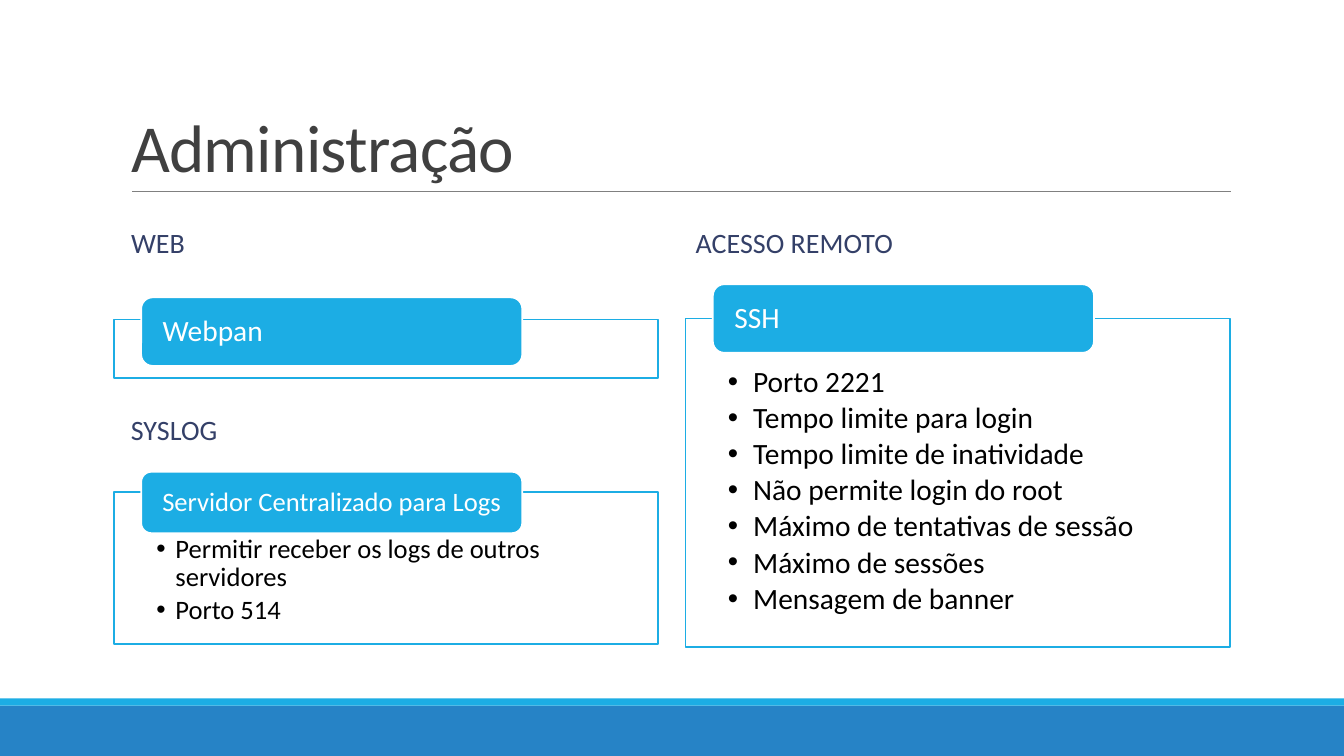
from pptx import Presentation
from pptx.dml.color import RGBColor
from pptx.enum.shapes import MSO_CONNECTOR as Connector, MSO_SHAPE as Shape
from pptx.enum.text import MSO_ANCHOR as Anchor, MSO_AUTO_SIZE as AutoSize, PP_ALIGN as Align
from pptx.oxml.ns import qn
from pptx.util import Inches, Pt
from lxml.etree import SubElement

# Content: placeholder numbers are those of the Comparison layout
TITLE = "Administração"
PANELS = [
    dict(heading="WEB", heading_slot=1, heading_top=2.02, tab="Webpan", items=[],
         list_slot=None, column=0, top=3.17, height=0.58, tab_top=2.95, tab_height=0.68,
         size=21, indent=0.25, inset_top=0),
    dict(heading="ACESSO REMOTO", heading_slot=3, heading_top=2.02, tab="SSH",
         items=["Porto 2221", "Tempo limite para login", "Tempo limite de inatividade",
                "Não permite login do root", "Máximo de tentativas de sessão",
                "Máximo de sessões", "Mensagem de banner"],
         list_slot=4, column=1, top=3.16, height=3.26, tab_top=2.82, tab_height=0.68,
         size=21, indent=0.25, inset_top=0.48),
    dict(heading="SYSLOG", heading_slot=None, heading_top=3.87,
         tab="Servidor Centralizado para Logs",
         items=["Permitir receber os logs de outros servidores", "Porto 514"],
         list_slot=2, column=0, top=4.88, height=1.51, tab_top=4.68, tab_height=0.61,
         size=19, indent=0.19, inset_top=0.43),
]

# Theme and grid
THEME = dict(font="Calibri", title="404040", heading="344068", text="000000", white="FFFFFF",
             accent="1CADE4", footer="2683C6", rule="808080", title_size=48, heading_size=20)
WIDTH, HEIGHT = 13.33, 7.5
COLUMN_WIDTH = 5.4
HEADING_LEFT = (1.2, 6.8)
BOX_LEFT = (1.13, 6.8)
TAB_OFFSET, TAB_WIDTH = 0.27, 3.78


def color(name):
    return RGBColor.from_string(THEME[name])


def place(shape, left, top, width, height):
    shape.left, shape.top, shape.width, shape.height = map(Inches, (left, top, width, height))


def paint(shape, fill, line=None, opacity=None):
    shape.fill.solid()
    shape.fill.fore_color.rgb = color(fill)
    if opacity:
        fill_color = shape.fill._xPr.find(qn("a:solidFill"))[0]
        SubElement(fill_color, qn("a:alpha"), val=str(opacity * 1000))
    if line:
        shape.line.color.rgb = color(line)
        shape.line.width = Pt(1.25)
    else:
        shape.line.fill.background()


def add_block(kind, bounds, fill, line=None, opacity=None):
    shape = slide.shapes.add_shape(kind, *map(Inches, bounds))
    shape.shadow.inherit = False
    paint(shape, fill, line, opacity)
    return shape


def write(shape, lines, size, ink, anchor, insets=(0.1, 0.05, 0.1, 0.05), spacing=0.9, after=0):
    frame = shape.text_frame
    frame.text = "\n".join(lines)
    frame.word_wrap = True
    frame.auto_size = AutoSize.NONE
    frame.vertical_anchor = anchor
    frame.margin_left, frame.margin_top, frame.margin_right, frame.margin_bottom = map(Inches, insets)
    for paragraph in frame.paragraphs:
        paragraph.alignment = Align.LEFT
        paragraph.line_spacing = spacing
        paragraph.space_before, paragraph.space_after = Pt(0), Pt(after)
        for run in paragraph.runs:
            run.font.name, run.font.size, run.font.bold = THEME["font"], Pt(size), False
            run.font.color.rgb = color(ink)


def add_bullets(shape, indent):
    for paragraph in shape.text_frame.paragraphs:
        properties = paragraph._p.get_or_add_pPr()
        properties.set("marL", str(Inches(indent)))
        properties.set("indent", str(-Inches(indent)))
        SubElement(properties, qn("a:buFont"), typeface="Arial")
        SubElement(properties, qn("a:buChar"), char="•")


presentation = Presentation()
presentation.slide_width, presentation.slide_height = Inches(WIDTH), Inches(HEIGHT)
slide = presentation.slides.add_slide(presentation.slide_layouts.get_by_name("Comparison"))
slots = {slot.placeholder_format.idx: slot for slot in slide.placeholders}

# Footer bands and title rule
add_block(Shape.RECTANGLE, (0, 7, WIDTH, 0.5), "footer")
add_block(Shape.RECTANGLE, (0, 6.93, WIDTH, 0.07), "accent")
rule = slide.shapes.add_connector(Connector.STRAIGHT, *map(Inches, (1.31, 1.9, 12.21, 1.9)))
rule.line.color.rgb = color("rule")
rule.line.width = Pt(0.5)
SubElement(rule._element.spPr, qn("a:effectLst"))

# Title
title = slide.shapes.title
place(title, 1.2, 0.31, 11, 1.59)
write(title, [TITLE], THEME["title_size"], "title", Anchor.BOTTOM, spacing=0.85)
title.text_frame.paragraphs[0].runs[0].font._element.set("spc", "-50")

# Panels: heading, outlined box with its list, and tab
for panel in PANELS:
    column, size = panel["column"], panel["size"]
    heading_bounds = (HEADING_LEFT[column], panel["heading_top"], COLUMN_WIDTH, 0.81)
    heading = slots.get(panel["heading_slot"]) or slide.shapes.add_textbox(0, 0, 0, 0)
    place(heading, *heading_bounds)
    write(heading, [panel["heading"]], THEME["heading_size"], "heading", Anchor.MIDDLE)

    box_bounds = (BOX_LEFT[column], panel["top"], COLUMN_WIDTH, panel["height"])
    if panel["items"]:
        box = slots[panel["list_slot"]]
        place(box, *box_bounds)
        paint(box, "white", "accent", opacity=90)
        write(box, panel["items"], size, "text", Anchor.TOP,
              (0.42, panel["inset_top"], 0.42, 0.15), after=0.15 * size)
        add_bullets(box, panel["indent"])
    else:
        add_block(Shape.RECTANGLE, box_bounds, "white", "accent", opacity=90)

    tab = add_block(Shape.ROUNDED_RECTANGLE, (BOX_LEFT[column] + TAB_OFFSET, panel["tab_top"],
                                              TAB_WIDTH, panel["tab_height"]), "accent", "white")
    write(tab, [panel["tab"]], size, "white", Anchor.MIDDLE, (0.18, 0, 0.18, 0))

presentation.save("out.pptx")
